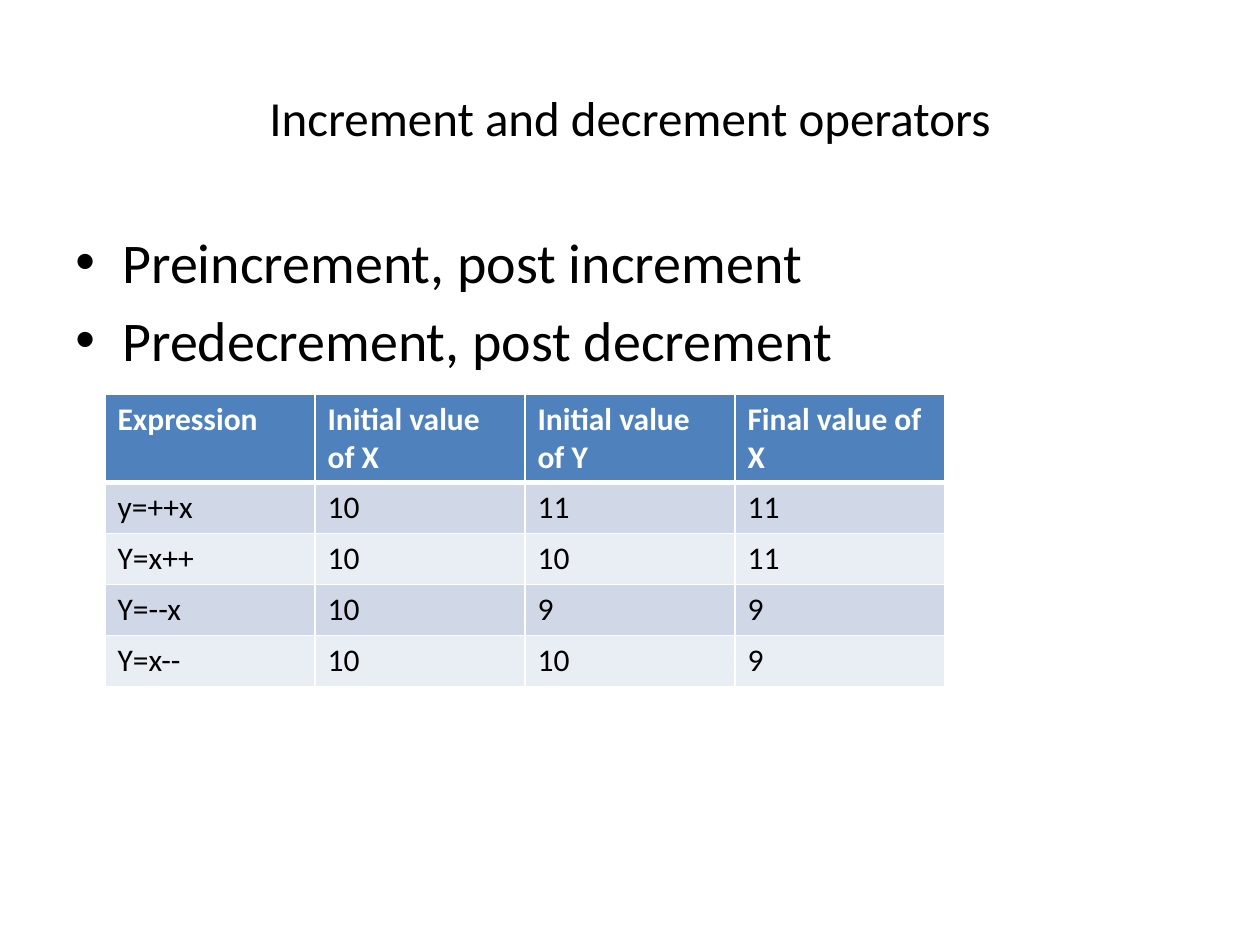
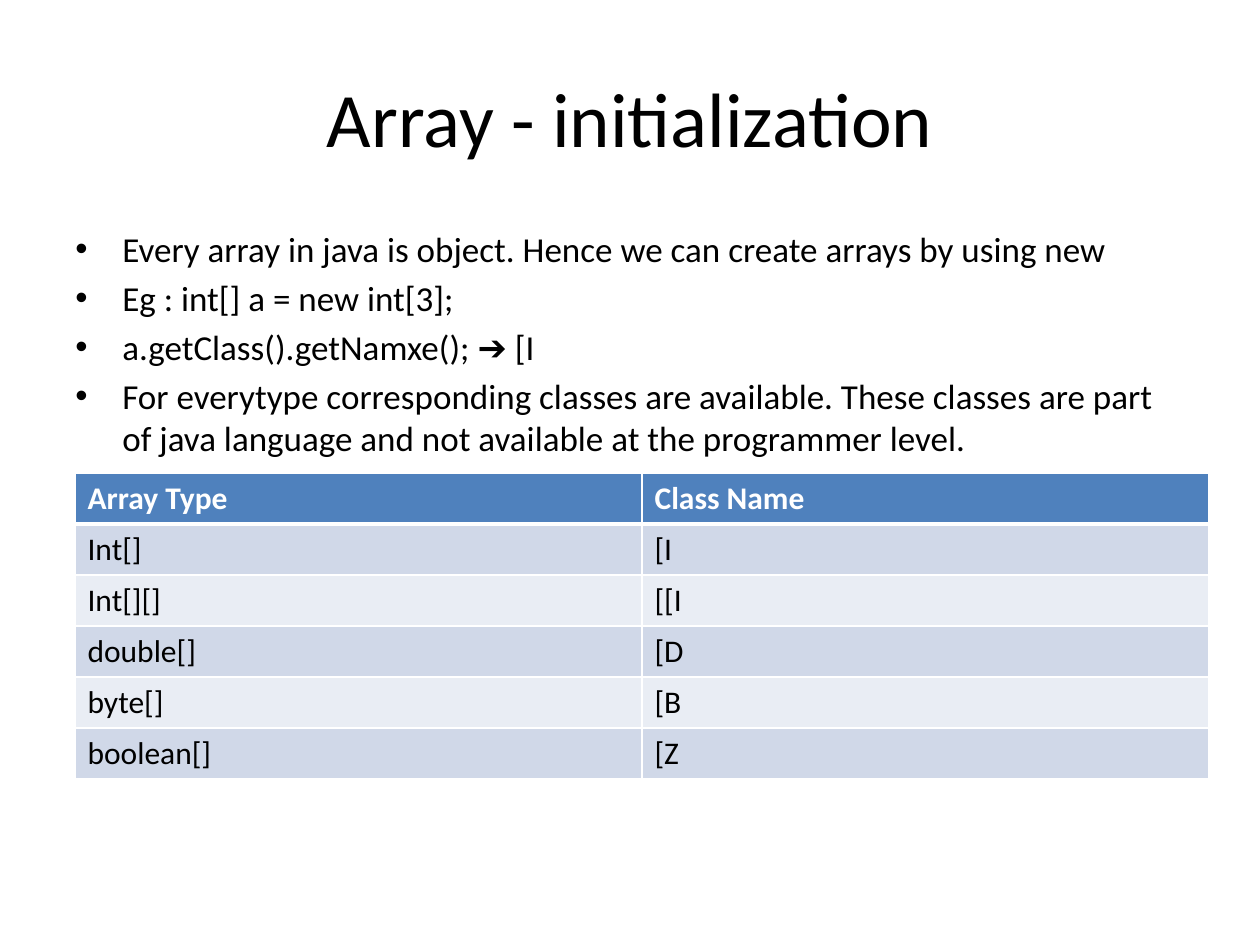
from dataclasses import dataclass

from lxml import etree
from pptx import Presentation
from pptx.dml.color import RGBColor
from pptx.enum.text import MSO_ANCHOR, PP_ALIGN
from pptx.oxml.ns import qn
from pptx.util import Emu, Pt

MIDDLE = MSO_ANCHOR.MIDDLE
CENTER = PP_ALIGN.CENTER

PX_PER_INCH = 126
FONT = "Calibri"
BLACK = RGBColor(0x00, 0x00, 0x00)
WHITE = RGBColor(0xFF, 0xFF, 0xFF)
HEADER_BLUE = RGBColor(0x4F, 0x81, 0xBD)
BAND_DARK = RGBColor(0xD0, 0xD8, 0xE8)
BAND_LIGHT = RGBColor(0xE9, 0xED, 0xF4)

TITLE_BOX = (63, 38, 1134, 158)
BODY_BOX = (63, 221, 1134, 624)
BULLET_INDENT = 47
ROW_HEIGHT = 51
TABLE_SIZE = 18
THIN, THICK = 1, 3


@dataclass(frozen=True)
class TableSpec:
    left: int
    top: int
    column_width: int
    header_height: int
    rows: list[list[str]]


@dataclass(frozen=True)
class SlideSpec:
    title: str
    title_size: int
    bullets: list[str]
    bullet_size: int
    table: TableSpec


SLIDES = [
    SlideSpec(
        "Increment and decrement operators", 28,
        ["Preincrement, post increment", "Predecrement, post decrement"], 32,
        TableSpec(105, 394, 210, 88, [
            ["Expression", "Initial value of X", "Initial value of Y", "Final value of X"],
            ["y=++x", "10", "11", "11"],
            ["Y=x++", "10", "10", "11"],
            ["Y=--x", "10", "9", "9"],
            ["Y=x--", "10", "10", "9"],
        ]),
    ),
    SlideSpec(
        "Array - initialization", 44,
        [
            "Every array in java is object. Hence we can create arrays by using new ",
            "Eg : int[] a = new int[3];",
            "a.getClass().getNamxe(); \u2794 [I",
            "For everytype corresponding classes are available. These classes are part "
            "of java language and not available at the programmer level.",
        ], 20,
        TableSpec(75, 473, 567, ROW_HEIGHT, [
            ["Array Type", "Class Name"],
            ["Int[]", "[I"],
            ["Int[][]", "[[I"],
            ["double[]", "[D"],
            ["byte[]", "[B"],
            ["boolean[]", "[Z"],
        ]),
    ),
]


def px(n: int) -> Emu:
    return Emu(round(n * 914400 / PX_PER_INCH))


def format_runs(p, size: int, color: RGBColor = BLACK, bold: bool = False) -> None:
    for r in p.runs:
        r.font.name = FONT
        r.font.size = Pt(size)
        r.font.bold = bold
        r.font.color.rgb = color


def add_title(s, text: str, size: int) -> None:
    sp = s.shapes.title
    sp.left, sp.top, sp.width, sp.height = map(px, TITLE_BOX)
    tf = sp.text_frame
    tf.text = text
    tf.vertical_anchor = MIDDLE
    p = tf.paragraphs[0]
    p.alignment = CENTER
    format_runs(p, size)


def add_bullets(s, bullets: list[str], size: int) -> None:
    tf = s.shapes.add_textbox(*map(px, BODY_BOX)).text_frame
    tf.word_wrap = True
    tf.text = "\n".join(bullets)
    for p in tf.paragraphs:
        p.space_before = Pt(size * 0.2)
        format_runs(p, size)
        props = p._p.get_or_add_pPr()
        props.set("marL", str(px(BULLET_INDENT)))
        props.set("indent", str(-px(BULLET_INDENT)))
        etree.SubElement(props, qn("a:buFont"), typeface="Arial")
        etree.SubElement(props, qn("a:buChar"), char="\u2022")


def set_borders(cell, top: int, bottom: int) -> None:
    props = cell._tc.get_or_add_tcPr()
    for side, width in (("L", THIN), ("R", THIN), ("T", top), ("B", bottom)):
        line = etree.SubElement(props, qn(f"a:ln{side}"), w=str(Pt(width)))
        fill = etree.SubElement(line, qn("a:solidFill"))
        etree.SubElement(fill, qn("a:srgbClr"), val=str(WHITE))


def add_table(s, spec: TableSpec) -> None:
    row_count, column_count = len(spec.rows), len(spec.rows[0])
    height = spec.header_height + (row_count - 1) * ROW_HEIGHT
    table = s.shapes.add_table(
        row_count, column_count, px(spec.left), px(spec.top),
        px(spec.column_width * column_count), px(height),
    ).table
    for column in table.columns:
        column.width = px(spec.column_width)
    for i, values in enumerate(spec.rows):
        header = i == 0
        table.rows[i].height = px(spec.header_height if header else ROW_HEIGHT)
        band = HEADER_BLUE if header else BAND_DARK if i % 2 else BAND_LIGHT
        for j, value in enumerate(values):
            cell = table.cell(i, j)
            set_borders(cell, THICK if i == 1 else THIN, THICK if header else THIN)
            cell.fill.solid()
            cell.fill.fore_color.rgb = band
            cell.text_frame.text = value
            format_runs(cell.text_frame.paragraphs[0], TABLE_SIZE,
                        WHITE if header else BLACK, header)


def build_slide(prs, spec: SlideSpec) -> None:
    s = prs.slides.add_slide(prs.slide_layouts.get_by_name("Title Only"))
    add_title(s, spec.title, spec.title_size)
    add_bullets(s, spec.bullets, spec.bullet_size)
    add_table(s, spec.table)


prs = Presentation()
prs.slide_width, prs.slide_height = px(1260), px(945)
for slide_spec in SLIDES:
    build_slide(prs, slide_spec)
prs.save("out.pptx")
